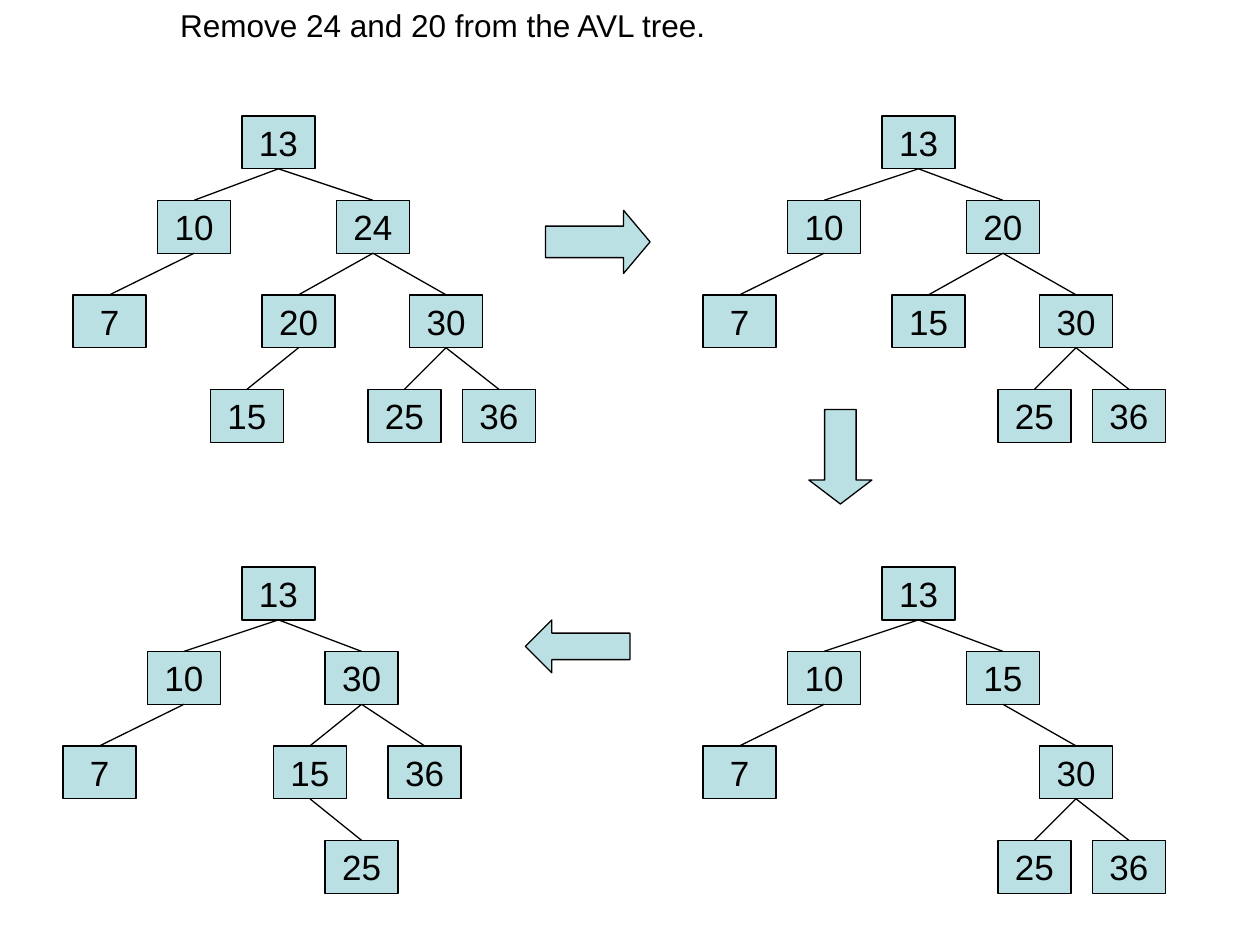
from lxml.etree import SubElement
from pptx import Presentation
from pptx.dml.color import RGBColor
from pptx.enum.shapes import MSO_CONNECTOR, MSO_SHAPE
from pptx.enum.text import MSO_ANCHOR, PP_ALIGN
from pptx.oxml.ns import qn
from pptx.util import Inches, Pt

TITLE = "Remove 24 and 20 from the AVL tree."
FONT = "Arial"
BLACK = RGBColor(0x00, 0x00, 0x00)
PALE_BLUE = RGBColor(0xBB, 0xE0, 0xE3)

NODE_W, NODE_H = 0.58, 0.42
LEVEL_OFFSETS = (0, 0.67, 1.42, 2.17)
BOTTOM, TOP = 2, 0  # connection sites of a rectangle

# Each tree: top of the root, then nodes as (value, left, children)
TREES = [
    (0.92, (13, 1.92, [
        (10, 1.25, [(7, 0.58, [])]),
        (24, 2.67, [
            (20, 2.08, [(15, 1.67, [])]),
            (30, 3.25, [(25, 2.92, []), (36, 3.67, [])])])])),
    (0.92, (13, 7, [
        (10, 6.25, [(7, 5.58, [])]),
        (20, 7.67, [
            (15, 7.08, []),
            (30, 8.25, [(25, 7.92, []), (36, 8.67, [])])])])),
    (4.5, (13, 7, [
        (10, 6.25, [(7, 5.58, [])]),
        (15, 7.67, [
            (30, 8.25, [(25, 7.92, []), (36, 8.67, [])])])])),
    (4.5, (13, 1.92, [
        (10, 1.17, [(7, 0.5, [])]),
        (30, 2.58, [
            (15, 2.17, [(25, 2.58, [])]),
            (36, 3.08, [])])])),
]

# Shape, left, top, width, height, length of the head relative to the shorter side
STEP_ARROWS = [
    (MSO_SHAPE.RIGHT_ARROW, 4.33, 1.67, 0.83, 0.5, 0.42),
    (MSO_SHAPE.DOWN_ARROW, 6.42, 3.25, 0.5, 0.75, 0.38),
    (MSO_SHAPE.LEFT_ARROW, 4.17, 4.92, 0.83, 0.42, 0.5),
]


def add_outlined(s, kind, x, y, w, h):
    sp = s.shapes.add_shape(kind, Inches(x), Inches(y), Inches(w), Inches(h))
    sp.shadow.inherit = False
    sp.fill.solid()
    sp.fill.fore_color.rgb = PALE_BLUE
    sp.line.color.rgb = BLACK
    sp.line.width = Pt(0.75)
    return sp


def format_text(p, size, align):
    p.alignment = align
    p.font.name = FONT
    p.font.size = Pt(size)
    p.font.color.rgb = BLACK


def add_edge(s, parent, child):
    line = s.shapes.add_connector(MSO_CONNECTOR.STRAIGHT, 0, 0, 0, 0)
    line.begin_connect(parent, BOTTOM)
    line.end_connect(child, TOP)
    line.line.color.rgb = BLACK
    line.line.width = Pt(0.75)
    SubElement(line._element.spPr, qn("a:effectLst"))


def add_subtree(s, node, root_top, level=0):
    """Draw a node and everything below it; return the node's box."""
    value, left, children = node
    box = add_outlined(s, MSO_SHAPE.RECTANGLE, left,
                       root_top + LEVEL_OFFSETS[level], NODE_W, NODE_H)
    tf = box.text_frame
    tf.word_wrap = False
    tf.vertical_anchor = MSO_ANCHOR.MIDDLE
    tf.text = str(value)
    format_text(tf.paragraphs[0], 20, PP_ALIGN.CENTER)
    for child in children:
        add_edge(s, box, add_subtree(s, child, root_top, level + 1))
    return box


def add_title(s):
    title = s.shapes.title
    title.left, title.top = Inches(0.83), Inches(0)
    title.width, title.height = Inches(8.17), Inches(0.4)
    tf = title.text_frame
    tf.text = TITLE
    tf.margin_left = Inches(0.6)
    tf.vertical_anchor = MSO_ANCHOR.MIDDLE
    format_text(tf.paragraphs[0], 18, PP_ALIGN.LEFT)


def main():
    prs = Presentation()
    prs.slide_width, prs.slide_height = Inches(10), Inches(7.5)
    s = prs.slides.add_slide(prs.slide_layouts[5])
    add_title(s)
    for root_top, root in TREES:
        add_subtree(s, root, root_top)
    for kind, x, y, w, h, head in STEP_ARROWS:
        arrow = add_outlined(s, kind, x, y, w, h)
        arrow.adjustments[0] = 0.5
        arrow.adjustments[1] = head
    prs.save("out.pptx")


if __name__ == "__main__":
    main()
